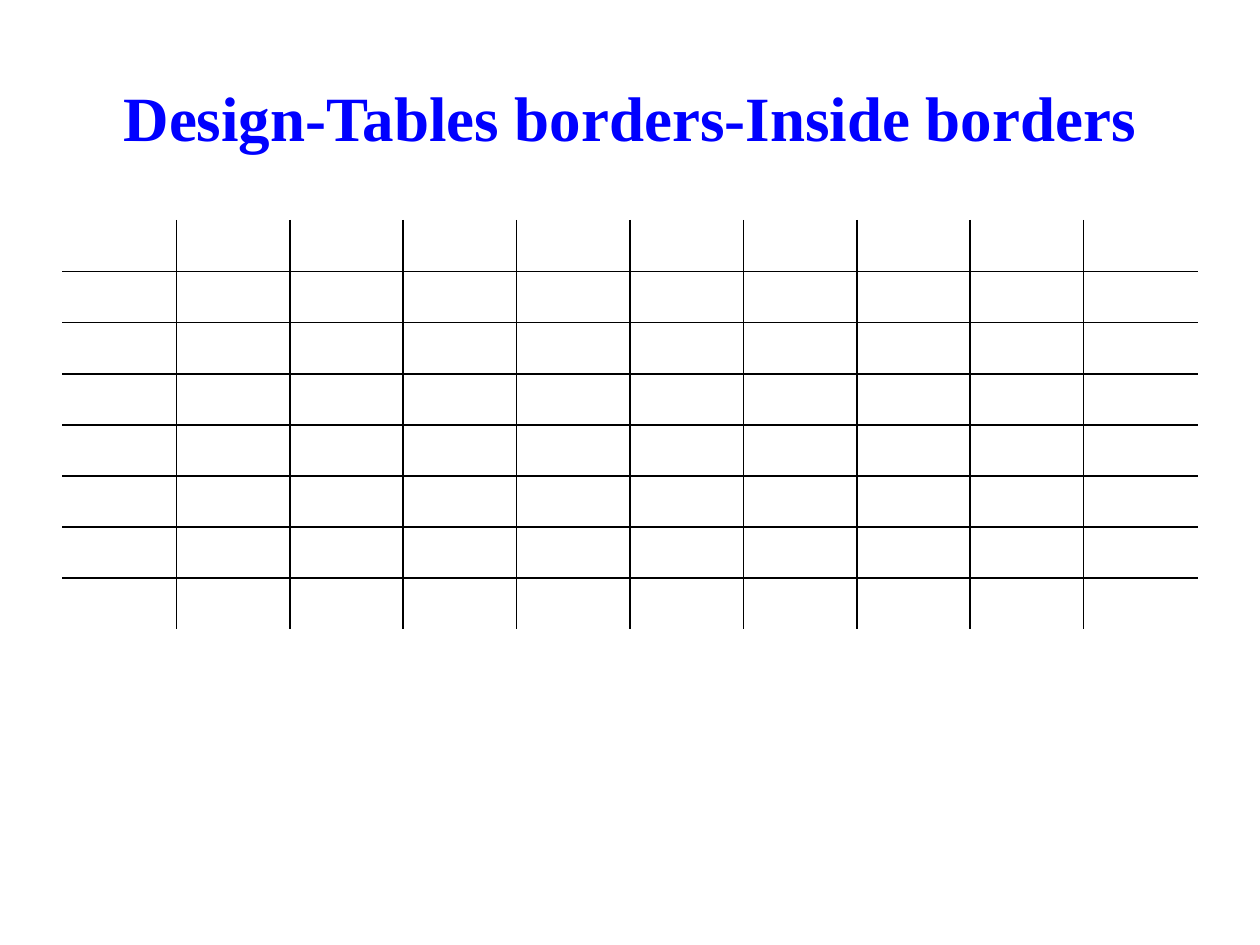
import pptx
import pptx.dml.color
import pptx.enum.text
import pptx.oxml
import pptx.oxml.ns
import pptx.util
from pptx.util import Pt


def color(hex_value):
    return pptx.dml.color.RGBColor.from_string(hex_value)


def add_border(cell, side, hex_value):
    cell._tc.get_or_add_tcPr().append(pptx.oxml.parse_xml(
        f'<a:{side} {pptx.oxml.ns.nsdecls("a")} w="{Pt(1)}">'
        f'<a:solidFill><a:srgbClr val="{hex_value}"/></a:solidFill></a:{side}>'))


INSIDE, OUTSIDE = "000000", "FFFFFF"
ROWS, COLUMNS = 8, 10
ROW_HEIGHT, COLUMN_WIDTH = 29.2, 64.8

presentation = pptx.Presentation()
presentation.slide_width = Pt(720)
presentation.slide_height = Pt(540)
slide = presentation.slides.add_slide(presentation.slide_layouts[6])
slide.background.fill.solid()
slide.background.fill.fore_color.rgb = color("FFFFFF")

title = slide.shapes.add_textbox(Pt(36), Pt(21.6), Pt(648), Pt(90)).text_frame
title.word_wrap = True
title.vertical_anchor = pptx.enum.text.MSO_ANCHOR.MIDDLE
title.text = "Design-Tables borders-Inside borders"
heading = title.paragraphs[0]
heading.alignment = pptx.enum.text.PP_ALIGN.CENTER
heading_font = heading.runs[0].font
heading_font.name = "Times New Roman"
heading_font.size = Pt(36)
heading_font.bold = True
heading_font.color.rgb = color("0000FF")

grid = slide.shapes.add_table(
    ROWS, COLUMNS, Pt(36), Pt(126),
    Pt(COLUMNS * COLUMN_WIDTH), Pt(ROWS * ROW_HEIGHT)).table
grid.first_row = False
grid.horz_banding = False
for column in grid.columns:
    column.width = Pt(COLUMN_WIDTH)
for row in grid.rows:
    row.height = Pt(ROW_HEIGHT)

for r in range(ROWS):
    for c in range(COLUMNS):
        cell = grid.cell(r, c)
        on_edge = {
            "lnL": c == 0,
            "lnR": c == COLUMNS - 1,
            "lnT": r == 0,
            "lnB": r == ROWS - 1,
        }
        for side, outer in on_edge.items():
            add_border(cell, side, OUTSIDE if outer else INSIDE)
        cell.fill.background()

presentation.save("out.pptx")
